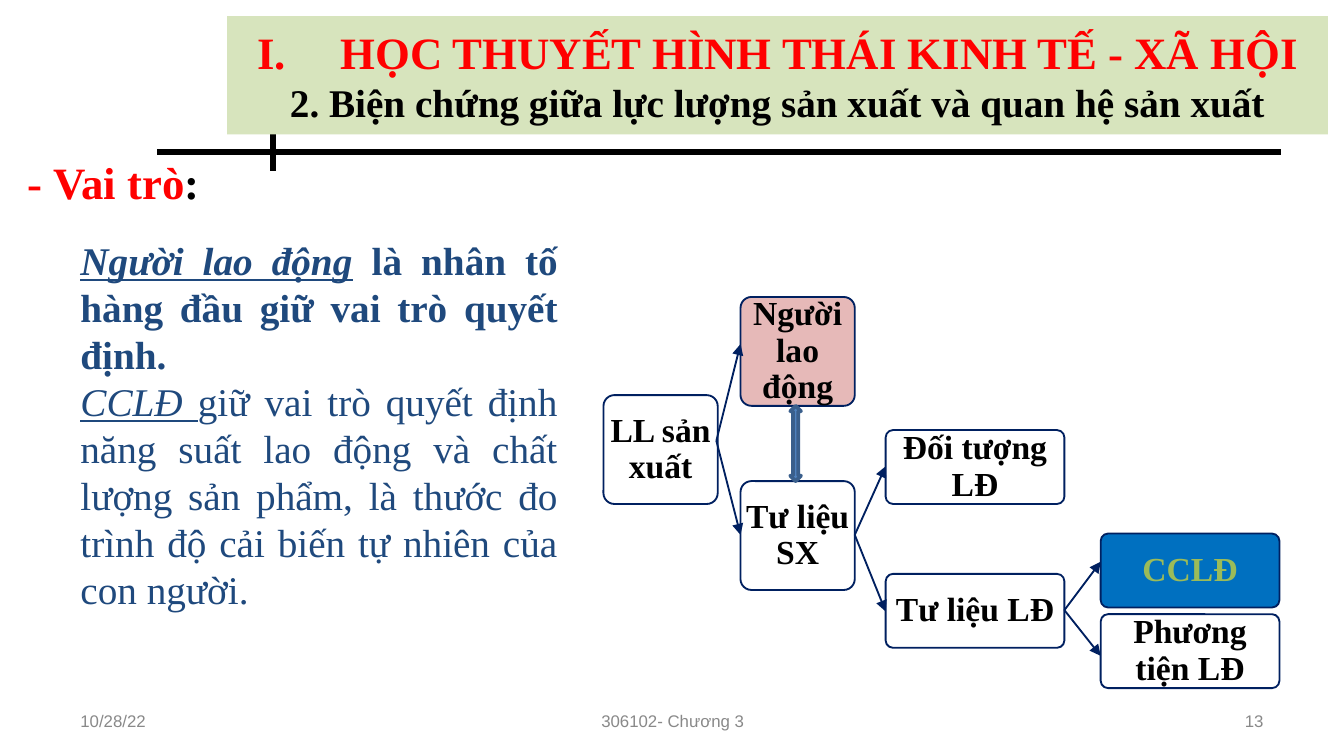
from dataclasses import dataclass

from lxml import etree
from pptx import Presentation
from pptx import util as u
from pptx.dml.color import RGBColor
from pptx.enum import shapes, text
from pptx.oxml.ns import qn

ALIGN = text.PP_ALIGN


@dataclass(frozen=True)
class Theme:
    serif: str = "Times New Roman"
    sans: str = "Arial"
    black: str = "000000"
    red: str = "FF0000"
    blue: str = "1F497D"
    navy: str = "002060"
    gray: str = "898989"
    green: str = "9BBB59"
    banner: str = "D7E4BD"
    pink: str = "E6B9B8"
    bright: str = "0070C0"
    arrow: str = "4F81BD"
    arrow_line: str = "3A5F8C"
    title_size: float = 24
    body_size: float = 21
    node_size: float = 18
    footer_size: float = 9


class SlideBuilder:
    def __init__(self, slide, theme):
        self.slide = slide
        self.theme = theme

    def run(self, paragraph, words, size, color, font=None, bold=False, accent=False):
        run = paragraph.add_run()
        run.text = words
        run.font.name = font or self.theme.serif
        run.font.size = u.Pt(size)
        run.font.bold = bold
        run.font.italic = accent
        run.font.underline = accent
        run.font.color.rgb = RGBColor.from_string(color)

    def text_box(self, box, paragraphs, align, anchor=text.MSO_ANCHOR.TOP):
        frame = self.slide.shapes.add_textbox(*map(u.Inches, box)).text_frame
        frame.word_wrap = True
        frame.vertical_anchor = anchor
        for index, runs in enumerate(paragraphs):
            paragraph = frame.add_paragraph() if index else frame.paragraphs[0]
            paragraph.alignment = align
            for options in runs:
                self.run(paragraph, **options)

    def shape(self, kind, box, fill=None, line=None, width=1):
        shape = self.slide.shapes.add_shape(kind, *map(u.Inches, box))
        shape.shadow.inherit = False
        if fill:
            shape.fill.solid()
            shape.fill.fore_color.rgb = RGBColor.from_string(fill)
        else:
            shape.fill.background()
        if line:
            shape.line.color.rgb = RGBColor.from_string(line)
            shape.line.width = u.Pt(width)
        else:
            shape.line.fill.background()
        frame = shape.text_frame
        frame.word_wrap = True
        frame.vertical_anchor = text.MSO_ANCHOR.MIDDLE
        return shape

    def node(self, label, box, fill=None, color=None):
        theme = self.theme
        shape = self.shape(shapes.MSO_SHAPE.ROUNDED_RECTANGLE, box, fill, theme.navy)
        shape.adjustments[0] = 0.1
        frame = shape.text_frame
        frame.margin_left = frame.margin_right = 0
        frame.margin_top = frame.margin_bottom = u.Inches(0.03)
        paragraph = frame.paragraphs[0]
        paragraph.alignment = ALIGN.CENTER
        paragraph.line_spacing = 0.9
        self.run(paragraph, label, theme.node_size, color or theme.black, bold=True)

    def line(self, points, color, width, arrow=False):
        connector = self.slide.shapes.add_connector(
            shapes.MSO_CONNECTOR.STRAIGHT, *map(u.Inches, points))
        connector.line.color.rgb = RGBColor.from_string(color)
        connector.line.width = u.Pt(width)
        if arrow:
            outline = connector.line._get_or_add_ln()
            etree.SubElement(outline, qn("a:tailEnd"), type="triangle")
        etree.SubElement(connector._element.spPr, qn("a:effectLst"))

    def banner(self, box, heading, subheading):
        theme = self.theme
        frame = self.shape(shapes.MSO_SHAPE.RECTANGLE, box, theme.banner).text_frame
        first, second = frame.paragraphs[0], frame.add_paragraph()
        for paragraph in (first, second):
            paragraph.alignment = ALIGN.CENTER
            properties = paragraph._p.get_or_add_pPr()
            properties.set("marL", str(u.Inches(0.62)))
            properties.set("indent", str(u.Inches(-0.62)))
        etree.SubElement(first._p.pPr, qn("a:buFont"), typeface="+mj-lt")
        etree.SubElement(first._p.pPr, qn("a:buAutoNum"), type="romanUcPeriod")
        etree.SubElement(second._p.pPr, qn("a:buNone"))
        self.run(first, heading, theme.title_size, theme.red, bold=True)
        self.run(second, subheading, theme.body_size, theme.black, bold=True)


def main():
    presentation = Presentation()
    presentation.slide_width = u.Inches(10)
    presentation.slide_height = u.Inches(10) * 9 // 16
    slide = presentation.slides.add_slide(presentation.slide_layouts[6])
    theme = Theme()
    builder = SlideBuilder(slide, theme)

    for rule in ((1.17, 1.13, 9.53, 1.13), (2.03, 0.87, 2.03, 1.27)):
        builder.line(rule, theme.black, 3)

    heading = dict(size=theme.title_size, bold=True)
    builder.text_box((0.11, 1.1, 3.11, 0.5), [[
        dict(words="- Vai trò", color=theme.red, **heading),
        dict(words=":", color=theme.black, **heading),
    ]], ALIGN.JUSTIFY)

    square, wide = (0.85, 0.81), (1.33, 0.55)
    nodes = (
        ("Người lao động", (5.51, 2.21), square, theme.pink, None),
        ("LL sản xuất", (4.49, 2.94), square, None, None),
        ("Tư liệu SX", (5.51, 3.58), square, None, None),
        ("Đối tượng LĐ", (6.59, 3.2), wide, None, None),
        ("Tư liệu LĐ", (6.59, 4.27), wide, None, None),
        ("CCLĐ", (8.19, 3.97), wide, theme.bright, theme.green),
        ("Phương tiện LĐ", (8.19, 4.57), wide, None, None),
    )
    for label, position, size, fill, color in nodes:
        builder.node(label, position + size, fill, color)

    branches = (
        ((5.33, 3.28), 5.51, (2.56, 3.98)),
        ((6.36, 3.98), 6.59, (3.47, 4.55)),
        ((7.92, 4.54), 8.19, (4.18, 4.88)),
    )
    for start, end_x, ends in branches:
        for end_y in ends:
            builder.line((*start, end_x, end_y), theme.navy, 1, arrow=True)
    builder.shape(shapes.MSO_SHAPE.UP_DOWN_ARROW, (5.88, 3.02, 0.08, 0.56),
                  theme.arrow, theme.arrow_line, 2)

    body = dict(size=theme.body_size, color=theme.blue)
    builder.text_box((0.5, 1.71, 3.75, 2.93), [
        [dict(words="Người lao động", bold=True, accent=True, **body),
         dict(words=" là nhân tố hàng đầu giữ vai trò quyết định.", bold=True, **body)],
        [dict(words="CCLĐ ", accent=True, **body),
         dict(words="giữ vai trò quyết định năng suất lao động và chất lượng sản phẩm, "
                    "là thước đo trình độ cải biến tự nhiên của con người.", **body)],
    ], ALIGN.JUSTIFY)

    footers = (
        ("10/28/22", 0.5, 2.33, ALIGN.LEFT),
        ("306102- Chương 3", 3.42, 3.17, ALIGN.CENTER),
        ("13", 7.17, 2.33, ALIGN.RIGHT),
    )
    for words, left, width, align in footers:
        builder.text_box((left, 5.21, width, 0.3), [[
            dict(words=words, size=theme.footer_size, color=theme.gray, font=theme.sans),
        ]], align, text.MSO_ANCHOR.MIDDLE)

    builder.banner((1.69, 0.12, 8.19, 0.88),
                   "HỌC THUYẾT HÌNH THÁI KINH TẾ - XÃ HỘI",
                   "2. Biện chứng giữa lực lượng sản xuất và quan hệ sản xuất")
    presentation.save("out.pptx")


if __name__ == "__main__":
    main()
